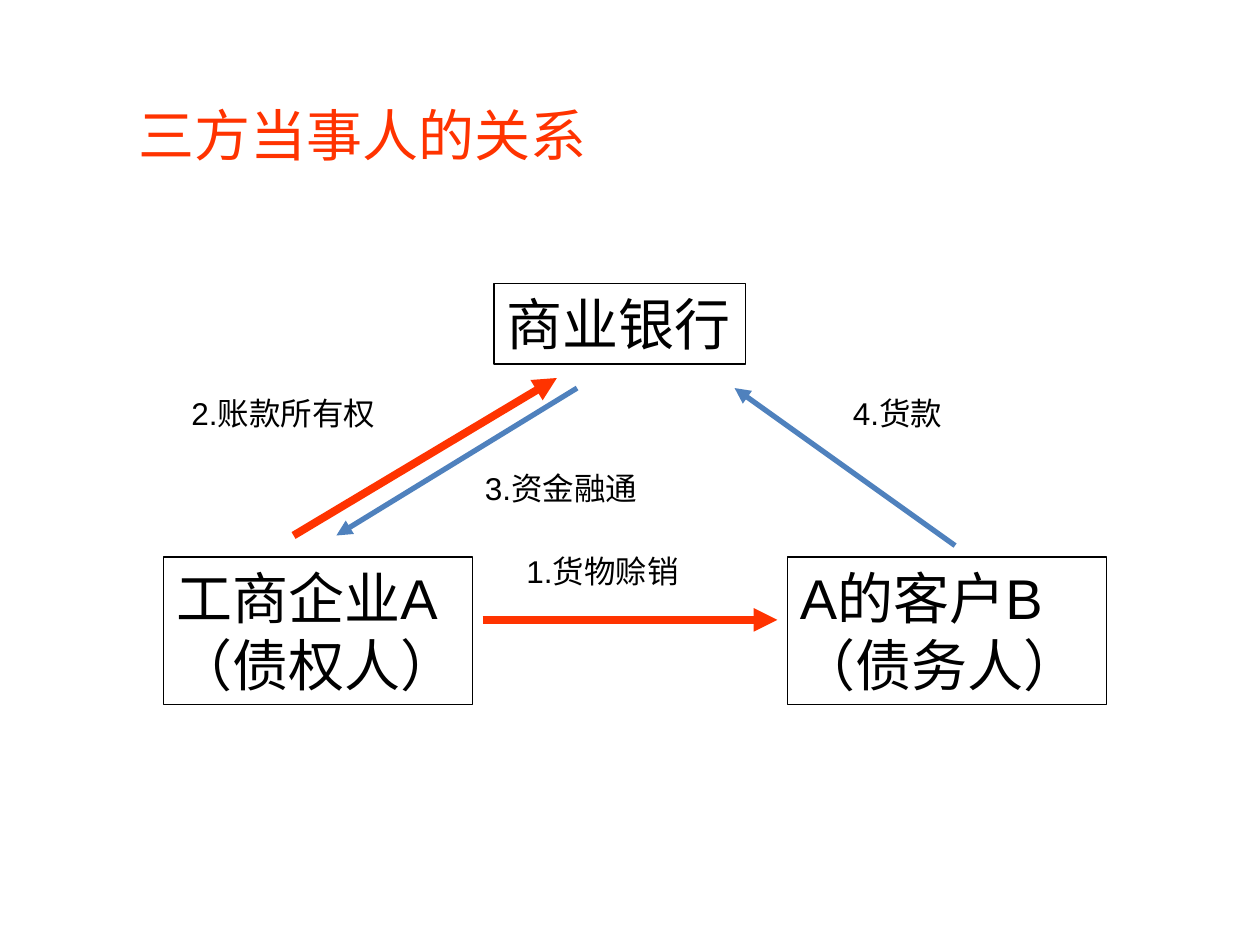
from lxml.etree import SubElement
from pptx import Presentation
from pptx.dml.color import RGBColor
from pptx.enum.shapes import MSO_CONNECTOR, MSO_SHAPE
from pptx.enum.text import MSO_ANCHOR, MSO_AUTO_SIZE, PP_ALIGN
from pptx.oxml.ns import qn
from pptx.util import Inches, Pt

RED = RGBColor(0xFF, 0x33, 0x00)
BLUE = RGBColor(0x4F, 0x81, 0xBD)
BLACK = RGBColor(0, 0, 0)
LATIN_FONT = "Arial"
CHINESE_FONT = "Noto Sans CJK SC"

TITLE = ("三方当事人的关系", (1, 0.75, 7.17, 0.64))
# Text, (left, top, width, height)
PARTIES = [
    ("商业银行", (3.92, 2.25, 2, 0.64)),
    ("工商企业A（债权人）", (1.3, 4.42, 2.45, 1.17)),
    ("A的客户B（债务人）", (6.25, 4.42, 2.53, 1.17)),
]
STEPS = [
    ("1.货物赊销", (4.08, 4.33, 1.92, 0.4)),
    ("2.账款所有权", (1.42, 3.08, 2.25, 0.4)),
    ("3.资金融通", (3.75, 3.67, 2.08, 0.4)),
    ("4.货款", (6.67, 3.08, 1.75, 0.4)),
]
# Start, end, colour, width in points
ARROWS = [
    ((3.83, 4.92), (6.17, 4.92), RED, 4.5),
    ((2.33, 4.25), (4.42, 3), RED, 4.5),
    ((4.58, 3.08), (2.67, 4.25), BLUE, 3),
    ((7.58, 4.33), (5.83, 3.08), BLUE, 3),
]


def inches(values):
    return [Inches(value) for value in values]


def write(shape, text, size, color=BLACK, font=LATIN_FONT):
    frame = shape.text_frame
    frame.word_wrap = True
    frame.auto_size = MSO_AUTO_SIZE.NONE
    frame.vertical_anchor = MSO_ANCHOR.TOP
    para = frame.paragraphs[0]
    para.alignment = PP_ALIGN.LEFT
    span = para.add_run()
    span.text = text
    span.font.size = Pt(size)
    span.font.color.rgb = color
    span.font.name = font
    SubElement(span.font._element, qn("a:ea"), typeface=CHINESE_FONT)


def add_title(slide, text, place):
    title = slide.shapes.title
    title.left, title.top, title.width, title.height = inches(place)
    write(title, text, 32, RED, CHINESE_FONT)


def add_party(slide, text, place):
    box = slide.shapes.add_shape(MSO_SHAPE.RECTANGLE, *inches(place))
    box.shadow.inherit = False
    box.fill.background()
    box.line.color.rgb = BLACK
    box.line.width = Pt(0.75)
    write(box, text, 32)


def add_arrow(slide, start, end, color, width):
    arrow = slide.shapes.add_connector(
        MSO_CONNECTOR.STRAIGHT, *inches(start + end))
    arrow.line.color.rgb = color
    arrow.line.width = Pt(width)
    SubElement(arrow.line._get_or_add_ln(), qn("a:tailEnd"), type="triangle")
    SubElement(arrow._element.spPr, qn("a:effectLst"))


def main():
    deck = Presentation()
    deck.slide_width, deck.slide_height = Inches(10), Inches(7.5)
    slide = deck.slides.add_slide(deck.slide_layouts[5])
    add_title(slide, *TITLE)
    for party in PARTIES:
        add_party(slide, *party)
    for arrow in ARROWS:
        add_arrow(slide, *arrow)
    for text, place in STEPS:
        write(slide.shapes.add_textbox(*inches(place)), text, 18)
    deck.save("out.pptx")


if __name__ == "__main__":
    main()
